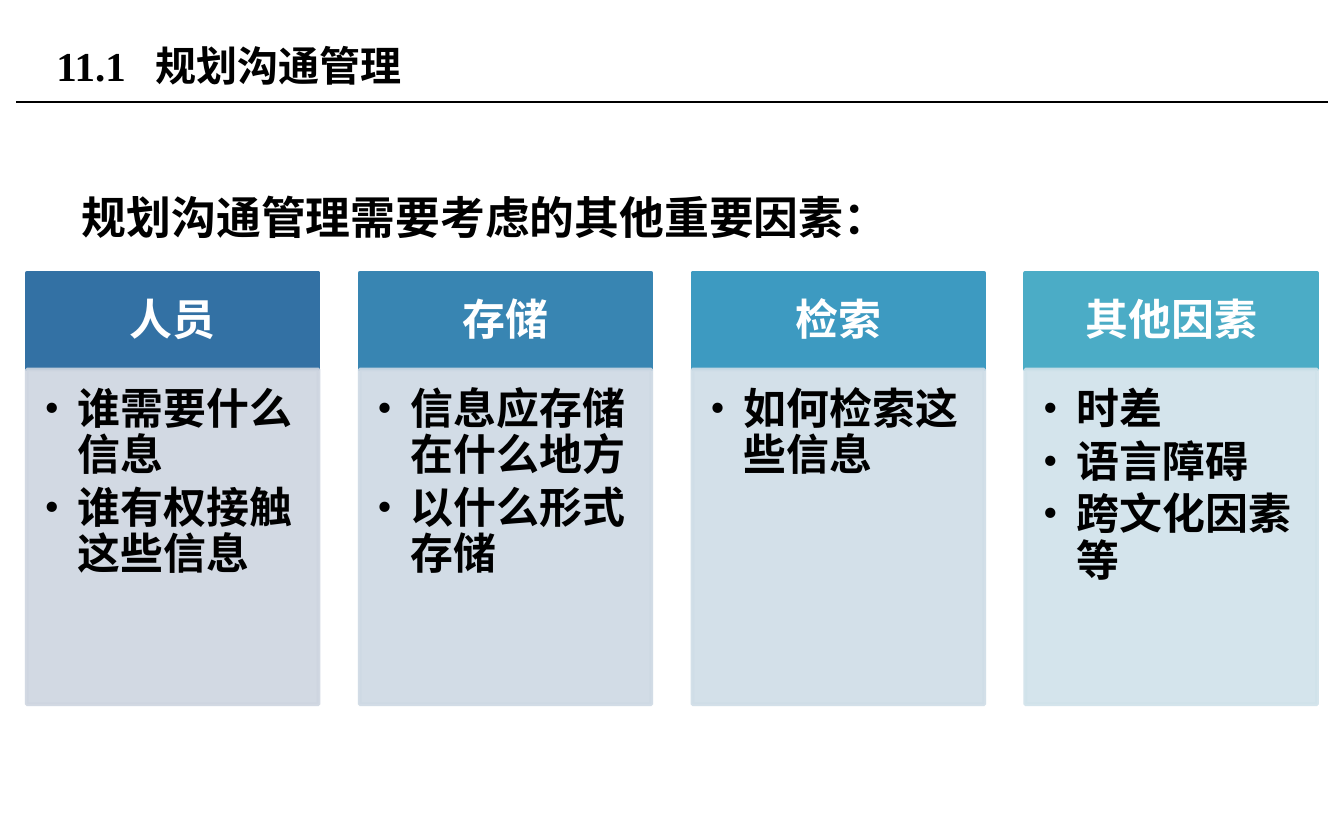
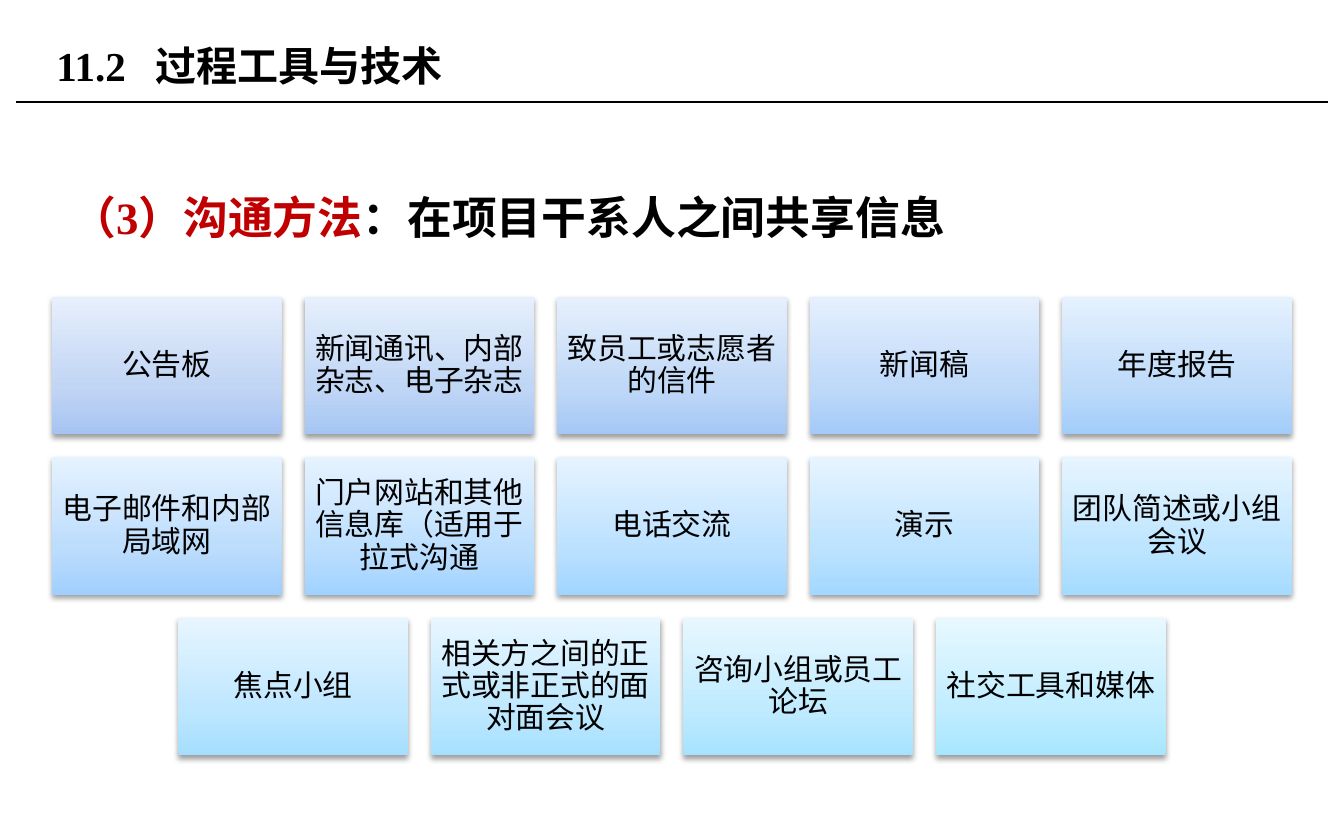
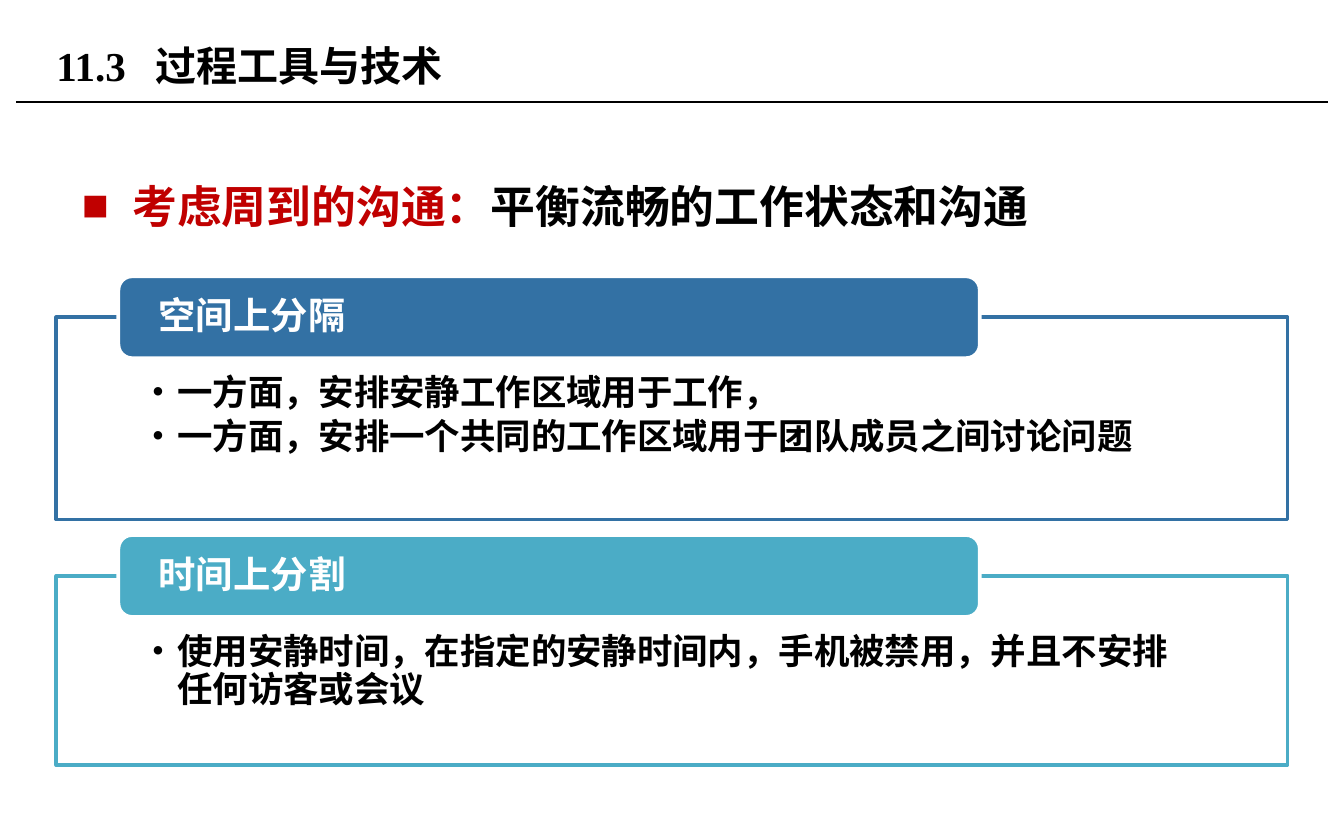
from lxml.etree import SubElement as Sub
from pptx import Presentation
from pptx.dml.color import RGBColor as RGB
from pptx.enum.shapes import MSO_CONNECTOR as Link, MSO_SHAPE as Kind
from pptx.enum.text import MSO_ANCHOR as Anchor, MSO_AUTO_SIZE as Fit, PP_ALIGN as Align
from pptx.oxml import parse_xml
from pptx.oxml.ns import nsdecls, qn
from pptx.util import Pt

BLACK, WHITE, RED = "000000", "FFFFFF", "C00000"
NAVY, TEAL = "3371A4", "4BACC6"
SERIF, SANS = "Times New Roman", "Cabin"
WIDE, HIGH = 720, 450


def tint(color):
    return RGB.from_string(color)


class Deck:
    """Holds the shared style and the current slide."""

    def __init__(self):
        self.prs = Presentation()
        self.prs.slide_width, self.prs.slide_height = Pt(WIDE), Pt(HIGH)

    def place(self, shape, box):
        shape.left, shape.top, shape.width, shape.height = map(Pt, box)

    def frame(self, shape, insets, anchor):
        text = shape.text_frame
        text.word_wrap, text.auto_size = True, Fit.NONE
        text.vertical_anchor = anchor
        (text.margin_left, text.margin_top,
         text.margin_right, text.margin_bottom) = map(Pt, insets)
        return text

    def add(self, par, words, size, color=BLACK, font=SERIF, bold=True):
        run = par.add_run()
        run.text = words
        run.font.name, run.font.size, run.font.bold = font, Pt(size), bold
        run.font.color.rgb = tint(color)

    def bullet(self, par, mark, indent):
        props = par._p.get_or_add_pPr()
        props.set("marL", str(Pt(indent)))
        props.set("indent", str(-Pt(indent)))
        if mark:
            Sub(props, qn("a:buFont")).set("typeface", SERIF)
            Sub(props, qn("a:buChar")).set("char", mark)
        else:
            Sub(props, qn("a:buNone"))

    def start(self, number, title, width=459.4):
        self.slide = self.prs.slides.add_slide(self.prs.slide_layouts[1])
        shape = self.slide.shapes.title
        self.place(shape, (23, 9.4, width, 51.1))
        par = self.frame(shape, (7.2, 3.6, 7.2, 3.6), Anchor.MIDDLE).paragraphs[0]
        par.alignment = Align.LEFT
        tabs = Sub(par._p.get_or_add_pPr(), qn("a:tabLst"))
        tab = Sub(tabs, qn("a:tab"))
        tab.set("pos", str(Pt(53)))
        tab.set("algn", "l")
        self.add(par, f"{number}\t{title}", 22)
        self.rule(8.6, WIDE - 8.6, 54.7)

    def rule(self, left, right, top):
        line = self.slide.shapes.add_connector(
            Link.STRAIGHT, Pt(left), Pt(top), Pt(right), Pt(top))
        line.line.width, line.line.color.rgb = Pt(0.75), tint(BLACK)
        Sub(line._element.spPr, qn("a:effectLst"))

    def lead(self, box, runs, mark=None):
        shape = self.slide.placeholders[1]
        self.place(shape, box)
        par = self.frame(shape, (7.2, 3.6, 7.2, 3.6), Anchor.TOP).paragraphs[0]
        self.bullet(par, mark, 27 if mark else 0)
        par.line_spacing, par.space_before = 1.5, Pt(0)
        for words, color in runs:
            self.add(par, words, 24, color)

    def box(self, box, fill, line=None, alpha=None, kind=Kind.RECTANGLE):
        shape = self.slide.shapes.add_shape(kind, *map(Pt, box))
        shape.shadow.inherit = False
        shape.fill.solid()
        shape.fill.fore_color.rgb = tint(fill)
        if line:
            shape.line.width, shape.line.color.rgb = Pt(2), tint(line)
        else:
            shape.line.fill.background()
        if alpha:
            for node in shape._element.spPr.iter(qn("a:srgbClr")):
                if node.get("val") == fill:
                    Sub(node, qn("a:alpha")).set("val", str(alpha * 1000))
        return shape

    def label(self, shape, words, size, color, font, bold, insets, align=Align.CENTER):
        par = self.frame(shape, insets, Anchor.MIDDLE).paragraphs[0]
        par.alignment, par.line_spacing = align, 0.9
        self.add(par, words, size, color, font, bold)

    def points(self, shape, items, size, indent, insets):
        text = self.frame(shape, insets, Anchor.TOP)
        for i, words in enumerate(items):
            par = text.add_paragraph() if i else text.paragraphs[0]
            self.bullet(par, "•", indent)
            par.alignment, par.line_spacing = Align.LEFT, 0.9
            par.space_after = Pt(size * 0.15)
            self.add(par, words, size)

    def tile(self, box, words, stops):
        shape = self.box(box, stops[0])
        props = shape._element.spPr
        marks = "".join(
            f'<a:gs pos="{pos}"><a:srgbClr val="{color}"/></a:gs>'
            for pos, color in zip((0, 35000, 100000), stops))
        grad = parse_xml(
            f'<a:gradFill {nsdecls("a")} rotWithShape="1"><a:gsLst>{marks}</a:gsLst>'
            '<a:lin ang="16200000" scaled="0"/></a:gradFill>')
        props.replace(props.find(qn("a:solidFill")), grad)
        props.find(qn("a:effectLst")).append(parse_xml(
            f'<a:outerShdw {nsdecls("a")} blurRad="{Pt(3.1)}" dist="{Pt(1.6)}" '
            f'dir="5400000" rotWithShape="0"><a:srgbClr val="{BLACK}">'
            '<a:alpha val="38000"/></a:srgbClr></a:outerShdw>'))
        self.label(shape, words, 16, BLACK, SANS, False, (5, 5, 5, 5))

    def panel(self, top, height, color, head, items):
        frame = self.box((30.2, top, WIDE - 60.4, height), WHITE, color, 90)
        self.points(frame, items, 19, 13.7, (51.1, 31, 51.1, 10.8))
        tab = self.box((63.4, top - 21.9, 461.5, 43.9), color, WHITE,
                       kind=Kind.ROUNDED_RECTANGLE)
        self.label(tab, head, 20, WHITE, SANS, True, (19.4, 2, 19.4, 2), Align.LEFT)


FACTORS = [
    ("人员", NAVY, "CED5E0", ["谁需要什么信息", "谁有权接触这些信息"]),
    ("存储", "3885B2", "CED9E4", ["信息应存储在什么地方", "以什么形式存储"]),
    ("检索", "3D9AC1", "CFDDE7", ["如何检索这些信息"]),
    ("其他因素", TEAL, "D0E2EA", ["时差", "语言障碍", "跨文化因素等"]),
]

METHODS = [
    [("公告板", "A6C4F1", "C1D5F4", "E7EFFC"),
     ("新闻通讯、内部杂志、电子杂志", "A5C6F3", "C0D6F5", "E6EFFC"),
     ("致员工或志愿者的信件", "A4C8F5", "C0D8F7", "E6F0FD"),
     ("新闻稿", "A3CAF8", "BFD9F9", "E5F0FE"),
     ("年度报告", "A2CDFA", "BEDBFA", "E5F1FE")],
    [("电子邮件和内部局域网", "A0CFFD", "BDDDFC", "E5F2FF"),
     ("门户网站和其他信息库（适用于拉式沟通", "A0D2FF", "BDDFFE", "E5F2FF"),
     ("电话交流", "A1D5FF", "BCE1FF", "E6F3FF"),
     ("演示", "A2D8FF", "BDE3FF", "E6F4FF"),
     ("团队简述或小组会议", "A4DBFF", "BEE5FF", "E6F5FF")],
    [("焦点小组", "A5DEFF", "BFE7FF", "E7F5FF"),
     ("相关方之间的正式或非正式的面对面会议", "A6E0FF", "C0E9FF", "E7F6FF"),
     ("咨询小组或员工论坛", "A6E3FF", "C0EBFF", "E7F7FF"),
     ("社交工具和媒体", "A7E6FF", "C1EDFF", "E7F8FF")],
]


def factors(deck):
    deck.start("11.1", "规划沟通管理")
    deck.lead((36.7, 83.5, 646.6, 280.8), [("规划沟通管理需要考虑的其他重要因素：", BLACK)])
    edge, width = 14.4, 156.3
    step = (WIDE - 2 * edge - width) / 3
    for i, (head, dark, light, items) in enumerate(FACTORS):
        left = edge + i * step
        top = deck.box((left, 146.2, width, 51.8), dark, dark)
        deck.label(top, head, 23, WHITE, SERIF, True, (13, 7.2, 13, 7.2))
        body = deck.box((left, 198, width, 179.3), light, light, 90)
        deck.points(body, items, 23, 18, (9.4, 9.4, 13, 14.4))


def methods(deck):
    deck.start("11.2", "过程工具与技术")
    deck.lead((31, 83.5, 663.1, 280.8),
              [("（3）沟通方法", RED), ("：在项目干系人之间共享信息", BLACK)])
    width, height, gap = 123, 73.7, 12.3
    for i, row in enumerate(METHODS):
        left = (WIDE - len(row) * (width + gap) + gap) / 2
        top = 159.1 + i * (height + gap)
        for j, (words, *stops) in enumerate(row):
            deck.tile((left + j * (width + gap), top, width, height), words, stops)


def balance(deck):
    deck.start("11.3", "过程工具与技术", 524.2)
    deck.lead((36.7, 77.8, 646.6, 280.8),
              [("考虑周到的沟通：", RED), ("平衡流畅的工作状态和沟通", BLACK)], "■")
    deck.panel(169.9, 108.4, NAVY, "空间上分隔",
               ["一方面，安排安静工作区域用于工作，",
                "一方面，安排一个共同的工作区域用于团队成员之间讨论问题"])
    deck.panel(308.5, 101.4, TEAL, "时间上分割",
               ["使用安静时间，在指定的安静时间内，手机被禁用，并且不安排任何访客或会议"])


def main():
    deck = Deck()
    for build in (factors, methods, balance):
        build(deck)
    deck.prs.save("out.pptx")


if __name__ == "__main__":
    main()
